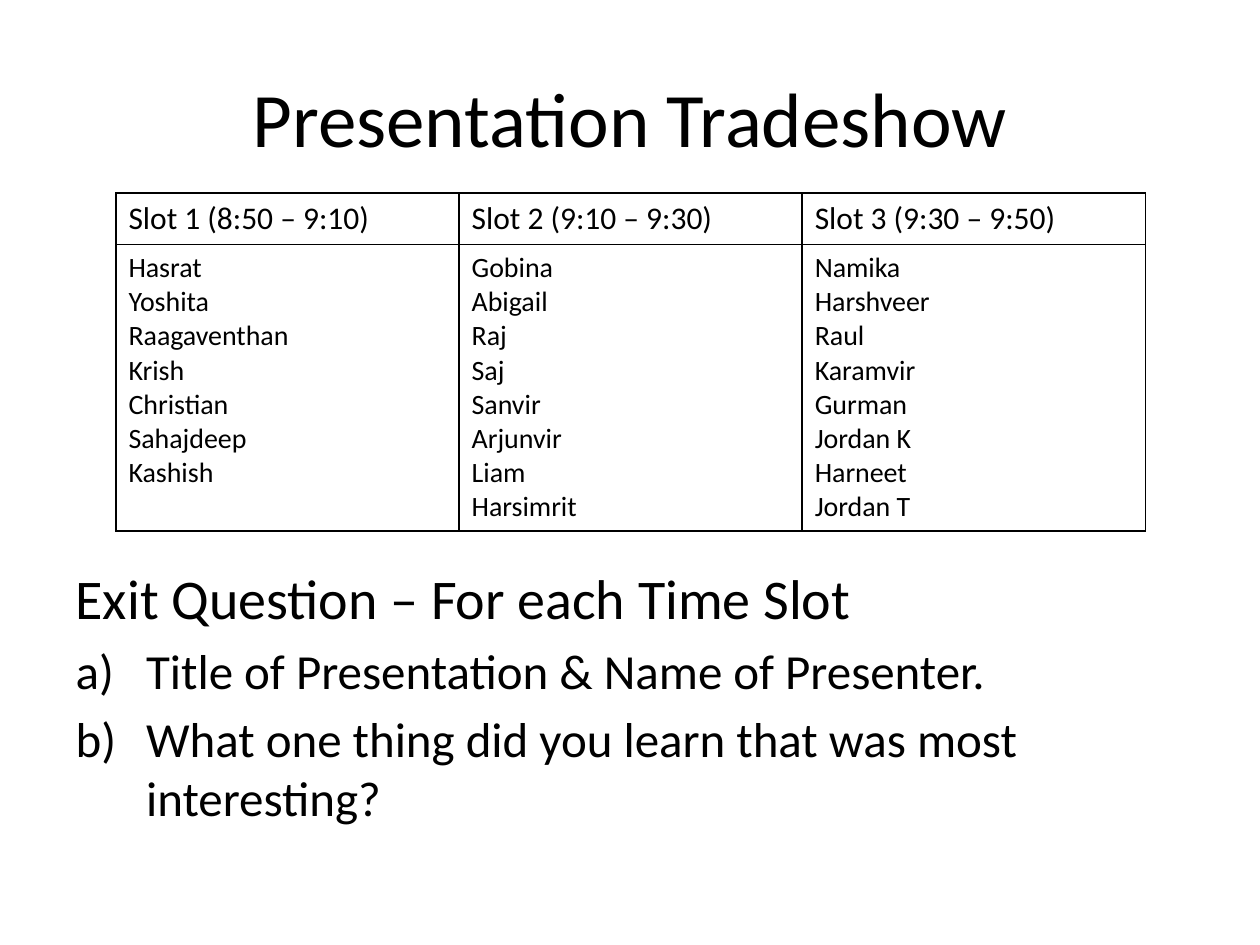
from lxml.etree import SubElement
from pptx import Presentation
from pptx.dml.color import RGBColor
from pptx.enum.text import MSO_ANCHOR, MSO_AUTO_SIZE, PP_ALIGN
from pptx.oxml.ns import qn
from pptx.util import Inches, Pt

INK = "000000"
SLOTS = {
    "Slot 1 (8:50 – 9:10)": ["Hasrat", "Yoshita", "Raagaventhan", "Krish",
                             "Christian", "Sahajdeep", "Kashish"],
    "Slot 2 (9:10 – 9:30)": ["Gobina", "Abigail", "Raj", "Saj", "Sanvir",
                             "Arjunvir", "Liam", "Harsimrit"],
    "Slot 3 (9:30 – 9:50)": ["Namika", "Harshveer", "Raul", "Karamvir",
                             "Gurman", "Jordan K", "Harneet", "Jordan T"],
}
EXIT_HEADING = "Exit Question – For each Time Slot"
EXIT_QUESTIONS = ["Title of Presentation & Name of Presenter.",
                  "What one thing did you learn that was most interesting?"]


def colour(hex_value):
    """Turn a hex string into a colour."""
    return RGBColor.from_string(hex_value)


def style_runs(paragraph, size):
    """Format every run of a paragraph."""
    for run in paragraph.runs:
        run.font.name = "Calibri"
        run.font.size = Pt(size)
        run.font.color.rgb = colour(INK)


def place(placeholder, box):
    """Move a placeholder to a box and fix its text size."""
    placeholder.left, placeholder.top, placeholder.width, placeholder.height = map(Inches, box)
    placeholder.text_frame.word_wrap = True
    placeholder.text_frame.auto_size = MSO_AUTO_SIZE.NONE


def add_title(slide, box, wording):
    """Fill the title placeholder."""
    title = slide.shapes.title
    place(title, box)
    title.text_frame.text = wording
    title.text_frame.vertical_anchor = MSO_ANCHOR.MIDDLE
    heading = title.text_frame.paragraphs[0]
    heading.alignment = PP_ALIGN.CENTER
    style_runs(heading, 44)


def set_marker(paragraph, indent, tag, **attributes):
    """Set the hanging indent and list marker of a paragraph."""
    properties = paragraph._p.get_or_add_pPr()
    properties.set("marL", str(Inches(indent)))
    properties.set("indent", str(-Inches(indent)))
    SubElement(properties, qn(tag), **attributes)


def add_exit_question(slide, box):
    """Fill the body placeholder with a heading and lettered questions."""
    body = slide.placeholders[1]
    place(body, box)
    body.text_frame.text = "\n".join([EXIT_HEADING, *EXIT_QUESTIONS])
    heading, *questions = body.text_frame.paragraphs
    heading.space_before = Pt(0)
    set_marker(heading, 0, "a:buNone")
    style_runs(heading, 32)
    for question in questions:
        set_marker(question, 0.56, "a:buAutoNum", type="alphaLcParenR")
        style_runs(question, 28)


def set_borders(cell):
    """Draw a thin line on all four sides of a cell."""
    properties = cell._tc.get_or_add_tcPr()
    for side in ("a:lnL", "a:lnR", "a:lnT", "a:lnB"):
        line = SubElement(properties, qn(side), w=str(Pt(1)))
        SubElement(SubElement(line, qn("a:solidFill")), qn("a:srgbClr"), val=INK)


def fill_cell(cell, wording, size):
    """Write, border and clear the background of a cell."""
    cell.text_frame.text = wording
    for paragraph in cell.text_frame.paragraphs:
        style_runs(paragraph, size)
    set_borders(cell)
    cell.fill.background()


def add_schedule(slide, box):
    """Add the table of time slots and presenters."""
    left, top, width, height = map(Inches, box)
    schedule = slide.shapes.add_table(2, len(SLOTS), left, top, width, height).table
    schedule.first_row = schedule.horz_banding = False
    schedule.rows[0].height = Inches(0.41)
    schedule.rows[1].height = height - Inches(0.41)
    for column, (slot, presenters) in enumerate(SLOTS.items()):
        fill_cell(schedule.cell(0, column), slot, 18)
        fill_cell(schedule.cell(1, column), "\n".join(presenters), 16)


def main():
    """Build and save the slide."""
    deck = Presentation()
    deck.slide_width, deck.slide_height = Inches(10), Inches(7.5)
    slide = deck.slides.add_slide(deck.slide_layouts[1])
    add_title(slide, (0.5, 0.3, 9, 1.25), "Presentation Tradeshow")
    add_exit_question(slide, (0.5, 4.42, 9, 2.28))
    add_schedule(slide, (0.92, 1.53, 8.17, 2.64))
    deck.save("out.pptx")


if __name__ == "__main__":
    main()
